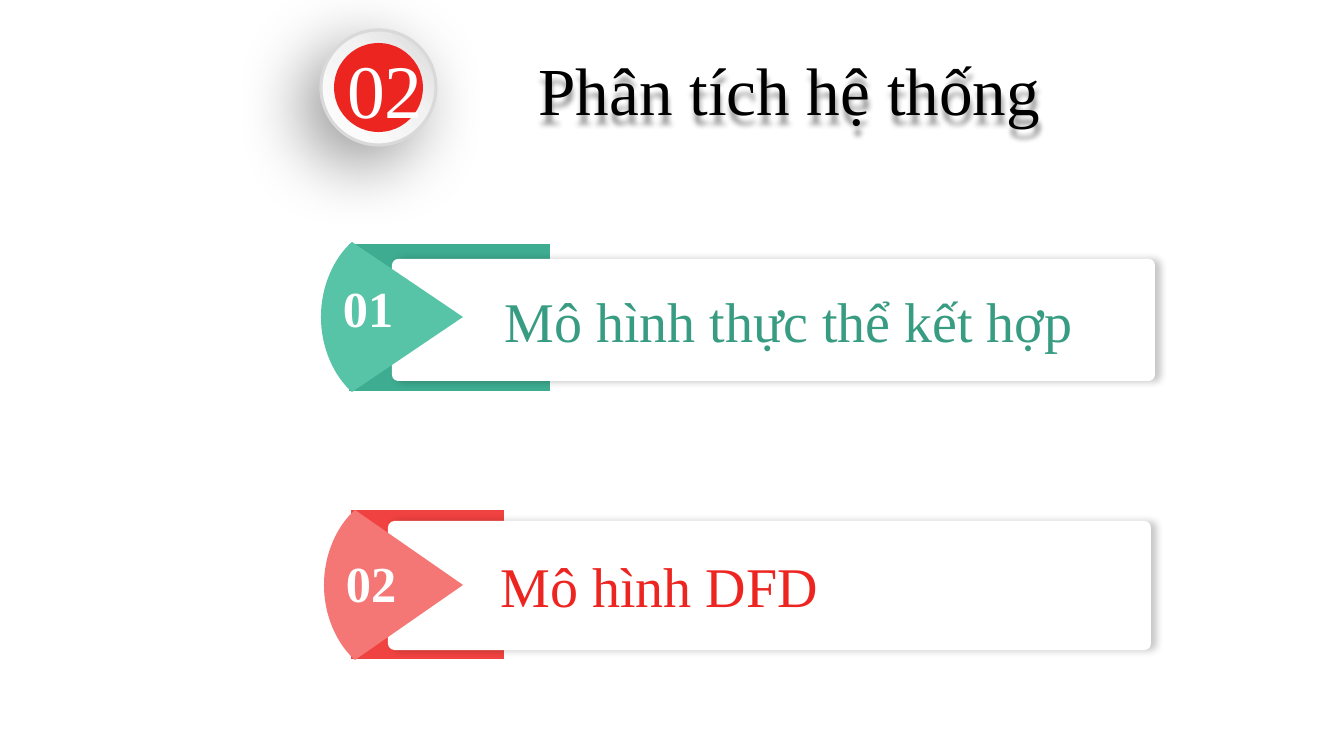
from lxml.etree import SubElement
from pptx import Presentation
from pptx.dml.color import RGBColor
from pptx.enum.shapes import MSO_SHAPE as Shape
from pptx.enum.text import MSO_ANCHOR as Anchor, MSO_AUTO_SIZE as AutoSize, PP_ALIGN as Align
from pptx.oxml.ns import qn
from pptx.util import Emu, Pt

TITLE = {"text": "Phân tích hệ thống", "box": (526, 43, 527, 92)}
BADGE = {"text": "02", "ring": (321, 30, 115, 115), "disc": (334, 43, 89, 89),
         "label": (334, 37, 102, 102)}
SECTIONS = [
    {"number": "01", "text": "Mô hình thực thể kết hợp", "ink": "389C82", "fan": "57C3A7",
     "back": [(0, "3EAC90"), (100, "3EAF91")], "back_box": (349, 244, 201, 147),
     "card_box": (392, 259, 763, 122), "label_box": (331, 272, 104, 72),
     "fan_left": 321, "fan_middle": 317},
    {"number": "02", "text": "Mô hình DFD", "ink": "ED2521", "fan": "F47775",
     "back": [(0, "F04240"), (100, "F04240")], "back_box": (351, 510, 153, 149),
     "card_box": (388, 521, 763, 129), "label_box": (334, 547, 136, 72),
     "fan_left": 324, "fan_middle": 585},
]
RING_STOPS = [(0, "FFFFFF"), (58, "F2F2F2"), (100, "D9D9D9")]
FAN_TIP = 463
FAN_CURVE = [(31, 75), (13, 59), (0, 31), (0, 0)]
FAN_STEPS = 16
CARD_SHADOW = {"alpha": 22, "blur": 5, "distance": 3, "angle": 0}
RING_SHADOW = {"alpha": 40, "blur": 50, "distance": 18, "angle": 135}
TITLE_SHADOW = {"alpha": 40, "blur": 4, "distance": 6, "angle": 90}


def px(length):
    return Emu(round(length * 914400 / 100.8))


def color(value):
    return RGBColor.from_string(value)


def paint(shape, fill):
    shape.shadow.inherit = False
    shape.fill.solid()
    shape.fill.fore_color.rgb = color(fill)
    shape.line.fill.background()


def paint_gradient(shape, stops, angle):
    shape.fill.gradient()
    shape.fill.gradient_angle = angle
    stop_list = shape._element.spPr.find(".//" + qn("a:gsLst"))
    for stop in list(stop_list):
        stop_list.remove(stop)
    for position, value in stops:
        stop = SubElement(stop_list, qn("a:gs"), pos=str(position * 1000))
        SubElement(stop, qn("a:srgbClr"), val=value)


def cast_shadow(shape, alpha, blur, distance, angle):
    shape.shadow.inherit = False
    effects = shape._element.spPr.find(qn("a:effectLst"))
    outer = SubElement(effects, qn("a:outerShdw"), blurRad=str(Pt(blur)),
                       dist=str(Pt(distance)), dir=str(angle * 60000), rotWithShape="0")
    tint = SubElement(outer, qn("a:srgbClr"), val="000000")
    SubElement(tint, qn("a:alpha"), val=str(alpha * 1000))


def write(shape, text, size, ink, align=Align.LEFT, level=0, bold=False, **frame_format):
    frame = shape.text_frame
    settings = {"word_wrap": True, "auto_size": AutoSize.NONE, **frame_format}
    for name, value in settings.items():
        setattr(frame, name, value)
    para = frame.paragraphs[0]
    para.alignment, para.level = align, level
    span = para.add_run()
    span.text = text
    for name, value in {"name": "Times New Roman", "size": Pt(size), "bold": bold}.items():
        setattr(span.font, name, value)
    span.font.color.rgb = color(ink)


def add_shape(page, kind, box, fill):
    shape = page.shapes.add_shape(kind, *map(px, box))
    paint(shape, fill)
    return shape


def add_label(page, box, *text, **text_format):
    write(page.shapes.add_textbox(*map(px, box)), *text, **text_format)


def add_fan(page, left, middle, fill):
    arc = []
    for step in range(FAN_STEPS + 1):
        t = step / FAN_STEPS
        weights = ((1 - t) ** 3, 3 * t * (1 - t) ** 2, 3 * t * t * (1 - t), t ** 3)
        arc.append([sum(w * point[axis] for w, point in zip(weights, FAN_CURVE))
                    for axis in (0, 1)])
    lower = [(px(left + x), px(middle + y)) for x, y in arc]
    upper = [(px(left + x), px(middle - y)) for x, y in reversed(arc[:-1])]
    builder = page.shapes.build_freeform(px(FAN_TIP), px(middle))
    builder.add_line_segments(lower + upper, close=True)
    paint(builder.convert_to_shape(), fill)


def add_section(page, section):
    back = add_shape(page, Shape.RECTANGLE, section["back_box"], section["back"][0][1])
    paint_gradient(back, section["back"], 270)
    card = add_shape(page, Shape.ROUNDED_RECTANGLE, section["card_box"], "FFFFFF")
    card.adjustments[0] = 0.05
    cast_shadow(card, **CARD_SHADOW)
    write(card, section["text"], 40, section["ink"], level=2, vertical_anchor=Anchor.MIDDLE)
    add_fan(page, section["fan_left"], section["fan_middle"], section["fan"])
    add_label(page, section["label_box"], section["number"], 36, "FFFFFF", bold=True,
              margin_left=px(12), margin_right=px(12))


def add_badge(page):
    ring = add_shape(page, Shape.OVAL, BADGE["ring"], "FFFFFF")
    paint_gradient(ring, RING_STOPS, 45)
    ring.line.color.rgb = color("D9D9D9")
    ring.line.width = Pt(2.25)
    cast_shadow(ring, **RING_SHADOW)
    add_shape(page, Shape.OVAL, BADGE["disc"], "ED2521")
    add_label(page, BADGE["label"], BADGE["text"], 54, "FFFFFF", align=Align.CENTER,
              vertical_anchor=Anchor.MIDDLE)


def add_title(page):
    title = page.shapes.title
    for name, value in zip(("left", "top", "width", "height"), TITLE["box"]):
        setattr(title, name, px(value))
    title.fill.background()
    cast_shadow(title, **TITLE_SHADOW)
    write(title, TITLE["text"], 48, "000000", align=Align.CENTER, word_wrap=False,
          vertical_anchor=Anchor.MIDDLE)


def main():
    """Build the section slide and save it."""
    deck = Presentation()
    deck.slide_width, deck.slide_height = px(1344), px(756)
    page = deck.slides.add_slide(deck.slide_layouts[5])
    add_title(page)
    for section in SECTIONS:
        add_section(page, section)
    add_badge(page)
    deck.save("out.pptx")


if __name__ == "__main__":
    main()
